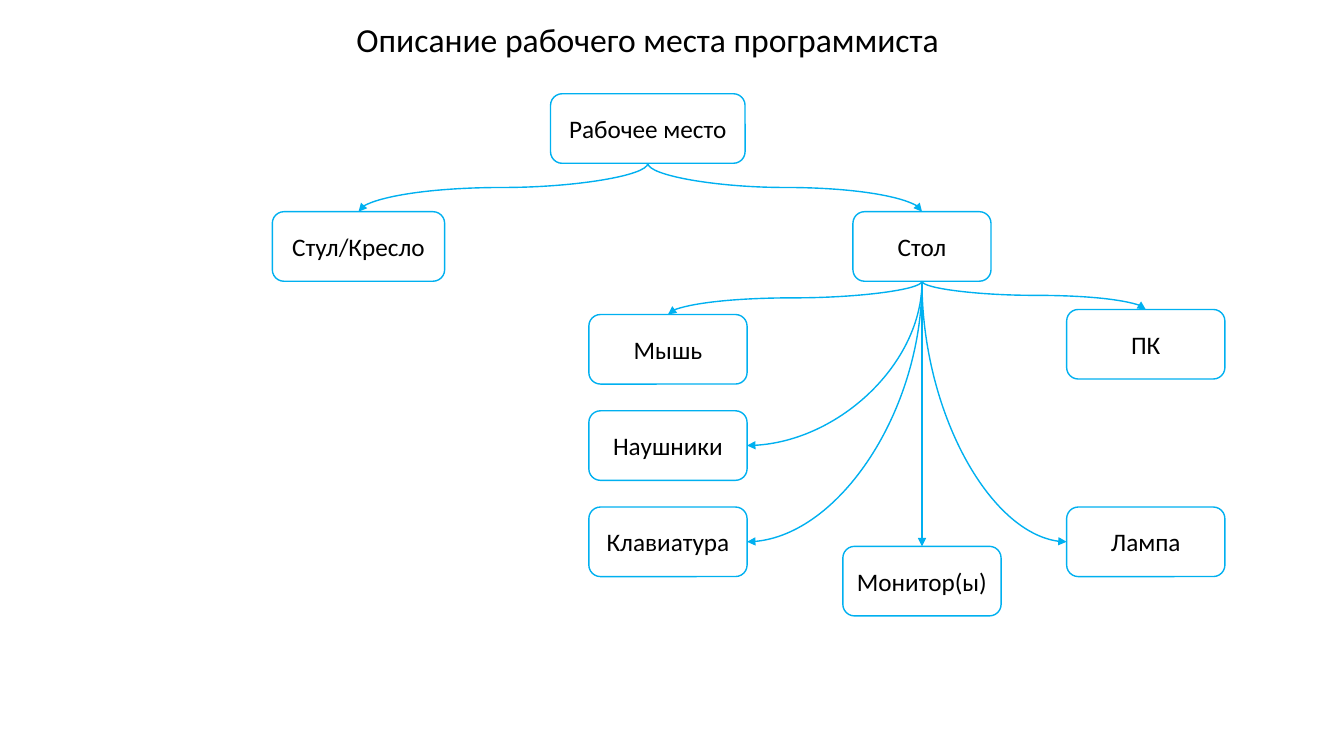
from lxml import etree
from pptx import Presentation
from pptx.dml.color import RGBColor
from pptx.enum.shapes import MSO_CONNECTOR, MSO_SHAPE
from pptx.enum.text import MSO_ANCHOR, PP_ALIGN
from pptx.oxml.ns import qn
from pptx.util import Inches, Pt

ROUNDED = MSO_SHAPE.ROUNDED_RECTANGLE
CURVE = MSO_CONNECTOR.CURVE
CENTER = PP_ALIGN.CENTER
MIDDLE = MSO_ANCHOR.MIDDLE

COLORS = {"text": "000000", "line": "00B0F0"}
SLIDE_WIDTH, SLIDE_HEIGHT = Inches(13.33), Inches(7.5)
COLUMN, ROW = SLIDE_WIDTH / 40, SLIDE_HEIGHT / 30
SITES = {"top": 0, "left": 1, "bottom": 2, "right": 3}

ROOT_CENTER, DESK_CENTER = 19.28, 27.44
LEFT_CENTER, RIGHT_CENTER = 19.88, 34.1
NODE_HEIGHT, ITEM_WIDTH = 2.76, 4.71
LEVEL_TWO = 8.4
STACK_TOP, STACK_STEP = 12.48, 3.82
STACK_BOTTOM = STACK_TOP + 2 * STACK_STEP

NODES = [
    ("Рабочее место", ROOT_CENTER, 3.72, 5.79),
    ("Стул/Кресло", 10.67, LEVEL_TWO, 5.13),
    ("Стол", DESK_CENTER, LEVEL_TWO, 4.11),
    ("ПК", RIGHT_CENTER, 12.28, ITEM_WIDTH),
    ("Лампа", RIGHT_CENTER, STACK_BOTTOM, ITEM_WIDTH),
    ("Монитор(ы)", DESK_CENTER, 21.68, ITEM_WIDTH),
] + [
    (label, LEFT_CENTER, STACK_TOP + level * STACK_STEP, ITEM_WIDTH)
    for level, label in enumerate(["Мышь", "Наушники", "Клавиатура"])
]

LINKS = [
    ("Рабочее место", "Стул/Кресло", "top"),
    ("Рабочее место", "Стол", "top"),
    ("Стол", "Мышь", "top"),
    ("Стол", "ПК", "top"),
    ("Стол", "Монитор(ы)", "top"),
    ("Стол", "Наушники", "right"),
    ("Стол", "Клавиатура", "right"),
    ("Стол", "Лампа", "left"),
]


def grid_box(center, top, width, height):
    return [
        round((center - width / 2) * COLUMN),
        round(top * ROW),
        round(width * COLUMN),
        round(height * ROW),
    ]


def write_label(holder, label, size):
    frame = holder.text_frame
    frame.word_wrap = True
    paragraph = frame.paragraphs[0]
    paragraph.text = label
    paragraph.alignment = CENTER
    font = paragraph.runs[0].font
    for attribute, value in {"name": "Calibri", "size": Pt(size)}.items():
        setattr(font, attribute, value)
    font.color.rgb = RGBColor.from_string(COLORS["text"])


def style_line(line):
    line.color.rgb = RGBColor.from_string(COLORS["line"])
    line.width = Pt(1)


def add_title(slide, title):
    heading = slide.shapes.add_textbox(*grid_box(ROOT_CENTER, 0.56, 18.24, 2))
    write_label(heading, title, 24)


def add_node(slide, label, center, top, width):
    node = slide.shapes.add_shape(ROUNDED, *grid_box(center, top, width, NODE_HEIGHT))
    node.shadow.inherit = False
    node.fill.background()
    style_line(node.line)
    node.text_frame.vertical_anchor = MIDDLE
    write_label(node, label, 18)
    return node


def add_link(slide, parent, child, side):
    link = slide.shapes.add_connector(CURVE, 0, 0, 0, 0)
    link.begin_connect(parent, SITES["bottom"])
    link.end_connect(child, SITES[side])
    start_x, start_y = link.begin_x, link.begin_y
    run, drop = link.end_x - start_x, link.end_y - start_y

    placement = {
        "left": start_x + (run - drop) // 2,
        "top": start_y + (drop - abs(run)) // 2,
        "width": drop,
        "height": abs(run),
    }
    for attribute, value in placement.items():
        setattr(link, attribute, value)

    properties = link._element.spPr
    frame = properties.find(qn("a:xfrm"))
    turns_right = run > 0
    orientation = {
        "rot": (270 if turns_right else 90) * 60000,
        "flipH": int(turns_right),
        "flipV": 0,
    }
    for attribute, value in orientation.items():
        frame.set(attribute, str(value))
    bend = "curvedConnector3" if side == "top" else "curvedConnector2"
    properties.find(qn("a:prstGeom")).set("prst", bend)

    style_line(link.line)
    outline = properties.find(qn("a:ln"))
    etree.SubElement(outline, qn("a:tailEnd"), type="triangle")
    etree.SubElement(properties, qn("a:effectLst"))


def main():
    presentation = Presentation()
    presentation.slide_width, presentation.slide_height = SLIDE_WIDTH, SLIDE_HEIGHT
    slide = presentation.slides.add_slide(presentation.slide_layouts[6])
    add_title(slide, "Описание рабочего места программиста")
    nodes = {node[0]: add_node(slide, *node) for node in NODES}
    for parent, child, side in LINKS:
        add_link(slide, nodes[parent], nodes[child], side)
    presentation.save("out.pptx")


if __name__ == "__main__":
    main()
